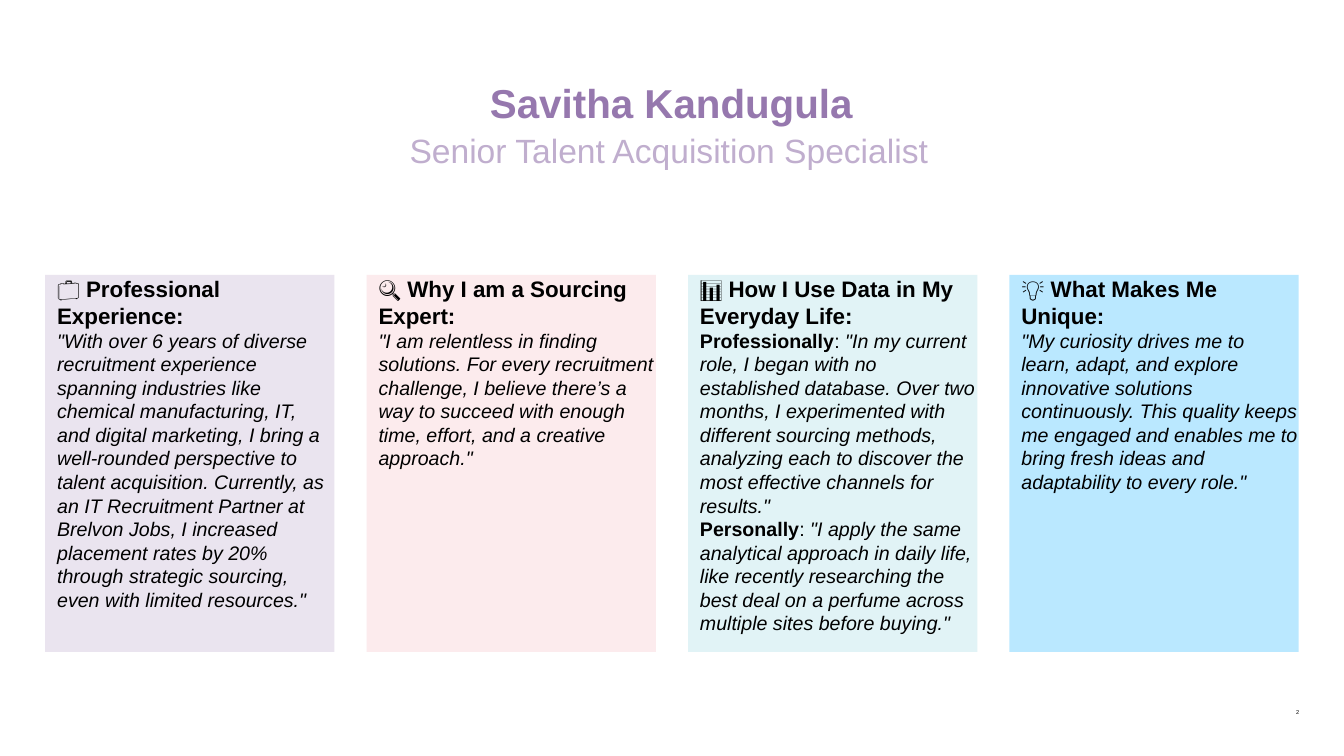
import pptx
import pptx.util
import pptx.dml.color
import pptx.enum.shapes
import pptx.enum.text
from dataclasses import dataclass

Cm, Pt = pptx.util.Cm, pptx.util.Pt
ALIGN = pptx.enum.text.PP_ALIGN
ANCHOR = pptx.enum.text.MSO_ANCHOR

NAME = "Savitha Kandugula"
ROLE = "Senior Talent Acquisition Specialist"
PAGE_NUMBER = "2"

# Each card: fill, heading, paragraphs of (bold label, quotation)
CARDS = [
    ("EAE4EF", "💼 Professional Experience:", [
        ("", '"With over 6 years of diverse recruitment experience spanning industries like '
             "chemical manufacturing, IT, and digital marketing, I bring a well-rounded "
             "perspective to talent acquisition. Currently, as an IT Recruitment Partner at "
             "Brelvon Jobs, I increased placement rates by 20% through strategic sourcing, "
             'even with limited resources."')]),
    ("FCEBED", "🔍 Why I am a Sourcing Expert:", [
        ("", '"I am relentless in finding solutions. For every recruitment challenge, I believe '
             'there’s a way to succeed with enough time, effort, and a creative approach."')]),
    ("E1F3F6", "📊 How I Use Data in My Everyday Life:", [
        ("Professionally",
         '"In my current role, I began with no established database. Over two months, I '
         "experimented with different sourcing methods, analyzing each to discover the most "
         'effective channels for results."'),
        ("Personally",
         '"I apply the same analytical approach in daily life, like recently researching the '
         'best deal on a perfume across multiple sites before buying."')]),
    ("BAE8FF", "💡 What Makes Me Unique:", [
        ("", '"My curiosity drives me to learn, adapt, and explore innovative solutions '
             "continuously. This quality keeps me engaged and enables me to bring fresh ideas "
             'and adaptability to every role."')]),
]


@dataclass(frozen=True)
class Theme:
    font: str = "Arial"
    ink: str = "000000"
    name: str = "9678AE"
    role: str = "C0AECE"
    name_size: float = 28.8
    role_size: float = 24
    heading_size: float = 16
    body_size: float = 14
    number_size: float = 4


THEME = Theme()
CARD_LEFT, CARD_TOP, CARD_WIDTH, CARD_HEIGHT = 1.14, 6.93, 7.29, 9.5
CARD_STEP = 8.1
CARD_INDENT = Cm(0.3)


def rgb(code):
    return pptx.dml.color.RGBColor.from_string(code)


def apply(target, values):
    for key, value in values.items():
        setattr(target, key, value)


def prepare_frame(shape, anchor=ANCHOR.TOP):
    frame = shape.text_frame
    apply(frame, dict(margin_left=0, margin_top=0, margin_right=0, margin_bottom=0,
                      word_wrap=True, vertical_anchor=anchor,
                      auto_size=pptx.enum.text.MSO_AUTO_SIZE.NONE))
    return frame


def add_span(para, text, size, color=THEME.ink, bold=False, italic=False):
    span = para.add_run()
    span.text = text
    apply(span.font, dict(name=THEME.font, size=Pt(size), bold=bold, italic=italic))
    span.font.color.rgb = rgb(color)


def format_para(para, align, left=0, first=0, **spacing):
    """Set alignment, left margin, first-line indent and spacing."""
    apply(para, dict(alignment=align, **spacing))
    properties = para._p.get_or_add_pPr()
    properties.set("marL", str(int(left)))
    properties.set("indent", str(int(first)))


def add_title(page):
    title = page.shapes.title
    apply(title, dict(left=Cm(1.12), top=Cm(1.96), width=Cm(31.6), height=Cm(1.19)))
    para = prepare_frame(title).paragraphs[0]
    format_para(para, ALIGN.CENTER, line_spacing=1.0)
    add_span(para, NAME, THEME.name_size, THEME.name, bold=True)


def add_line(page, bounds, text, size, color, align, anchor=ANCHOR.TOP, left=0, first=0):
    box = page.shapes.add_textbox(*map(Cm, bounds))
    para = prepare_frame(box, anchor).paragraphs[0]
    format_para(para, align, left, first, line_spacing=0.9, space_after=Pt(6))
    add_span(para, text, size, color)


def add_card(page, index, fill, heading, quotes):
    card = page.shapes.add_shape(
        pptx.enum.shapes.MSO_SHAPE.RECTANGLE, Cm(CARD_LEFT + index * CARD_STEP),
        Cm(CARD_TOP), Cm(CARD_WIDTH), Cm(CARD_HEIGHT))
    card.shadow.inherit = False
    card.fill.solid()
    card.fill.fore_color.rgb = rgb(fill)
    card.line.fill.background()
    frame = prepare_frame(card)
    para = frame.paragraphs[0]
    format_para(para, ALIGN.LEFT, CARD_INDENT)
    add_span(para, heading, THEME.heading_size, bold=True)
    for label, quote in quotes:
        para = frame.add_paragraph()
        format_para(para, ALIGN.LEFT, CARD_INDENT)
        if label:
            add_span(para, label, THEME.body_size, bold=True)
            add_span(para, ": ", THEME.body_size)
        add_span(para, quote, THEME.body_size, italic=True)


def main():
    deck = pptx.Presentation()
    apply(deck, dict(slide_width=Cm(33.87), slide_height=Cm(19.05)))
    page = deck.slides.add_slide(deck.slide_layouts.get_by_name("Title Only"))
    for index, card in enumerate(CARDS):
        add_card(page, index, *card)
    add_title(page)
    add_line(page, (0.74, 3.38, 31.6, 1.19), ROLE, THEME.role_size, THEME.role,
             ALIGN.CENTER, left=Cm(1.27), first=Cm(-0.64))
    add_line(page, (30.73, 17.63, 2.01, 0.4), PAGE_NUMBER, THEME.number_size, THEME.ink,
             ALIGN.RIGHT, ANCHOR.BOTTOM)
    deck.save("out.pptx")


if __name__ == "__main__":
    main()
